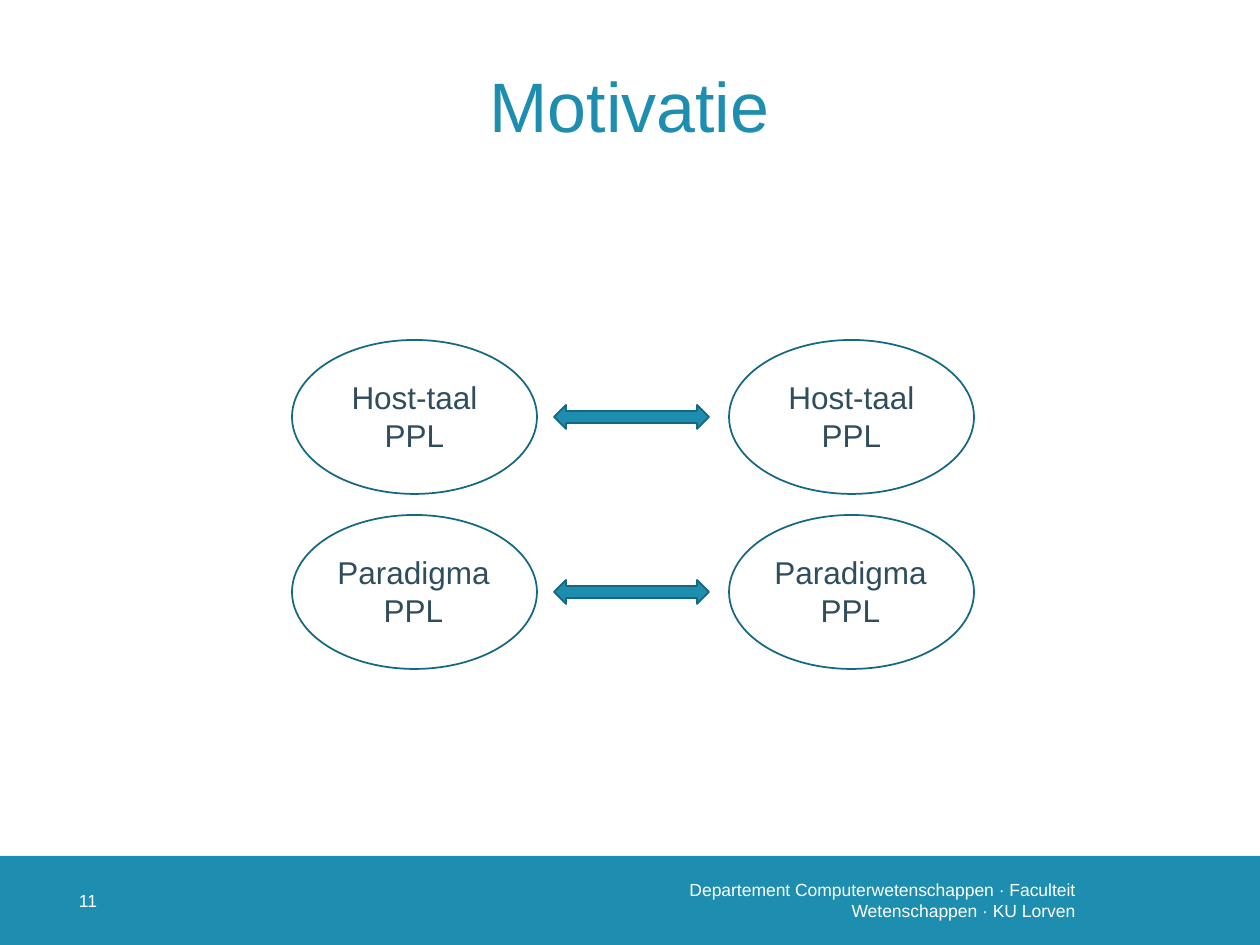
from typing import NamedTuple

from pptx import Presentation
from pptx.dml.color import RGBColor
from pptx.enum.shapes import MSO_SHAPE
from pptx.enum.text import MSO_ANCHOR, PP_ALIGN
from pptx.util import Pt

SCALE = 914400 / 126
COLORS = {"teal": "1D8DB0", "edge": "156882", "ink": "2F4D5D", "white": "FFFFFF"}
LEFT, TOP = 292, 340
STEP, PITCH = 437, 175
WIDE, HIGH = 245, 154


class Box(NamedTuple):
    x: int
    y: int
    w: int
    h: int


class Row(NamedTuple):
    label: str
    width: int
    inset: int


ROWS = [Row("Host-taal PPL", 173, 36), Row("Paradigma PPL", 189, 27)]


def emu(px: int) -> int:
    return round(px * SCALE)


def color(name: str) -> RGBColor:
    return RGBColor.from_string(COLORS[name])


def text(slide, box: Box, words: str, *, size: int, ink: str,
         align=PP_ALIGN.LEFT, anchor=MSO_ANCHOR.MIDDLE,
         pad: tuple = (0, 0, 0, 0), lead: float = 1.0) -> None:
    frame = slide.shapes.add_textbox(*map(emu, box)).text_frame
    frame.word_wrap = True
    frame.vertical_anchor = anchor
    (frame.margin_left, frame.margin_top,
     frame.margin_right, frame.margin_bottom) = map(emu, pad)
    line = frame.paragraphs[0]
    line.alignment = align
    line.line_spacing = lead
    run = line.add_run()
    run.text = words
    run.font.size = Pt(size)
    run.font.name = "Arial"
    run.font.color.rgb = color(ink)


def shape(slide, kind, box: Box, fill: str = "", edge: str = "") -> None:
    item = slide.shapes.add_shape(kind, *map(emu, box))
    item.shadow.inherit = False
    if fill:
        item.fill.solid()
        item.fill.fore_color.rgb = color(fill)
    else:
        item.fill.background()
    if edge:
        item.line.color.rgb = color(edge)
        item.line.width = Pt(1)
    else:
        item.line.fill.background()


def draw(slide, row: Row, y: int) -> None:
    for x in (LEFT, LEFT + STEP):
        shape(slide, MSO_SHAPE.OVAL, Box(x, y, WIDE, HIGH), edge="edge")
        text(slide, Box(x + row.inset, y + 32, row.width, 90), row.label,
             size=18, ink="ink", align=PP_ALIGN.CENTER,
             anchor=MSO_ANCHOR.TOP, pad=(13, 6, 13, 6))
    shape(slide, MSO_SHAPE.LEFT_RIGHT_ARROW, Box(554, y + 65, 155, 24),
          fill="teal", edge="edge")


def main() -> None:
    """Build the slide that compares host languages and paradigms."""
    deck = Presentation()
    deck.slide_width, deck.slide_height = emu(1260), emu(945)
    slide = deck.slides.add_slide(deck.slide_layouts[6])
    shape(slide, MSO_SHAPE.RECTANGLE, Box(0, 856, 1260, 89), fill="teal")
    text(slide, Box(591, 856, 509, 89),
         "Departement Computerwetenschappen · Faculteit Wetenschappen · KU Lorven",
         size=10, ink="white", align=PP_ALIGN.RIGHT, pad=(0, 0, 25, 0))
    text(slide, Box(79, 856, 89, 89), "11", size=10, ink="white")
    text(slide, Box(79, 30, 1101, 159), "Motivatie", size=40, ink="teal",
         align=PP_ALIGN.CENTER, pad=(13, 6, 13, 6), lead=0.9)
    for i, row in enumerate(ROWS):
        draw(slide, row, TOP + i * PITCH)
    deck.save("out.pptx")


if __name__ == "__main__":
    main()
